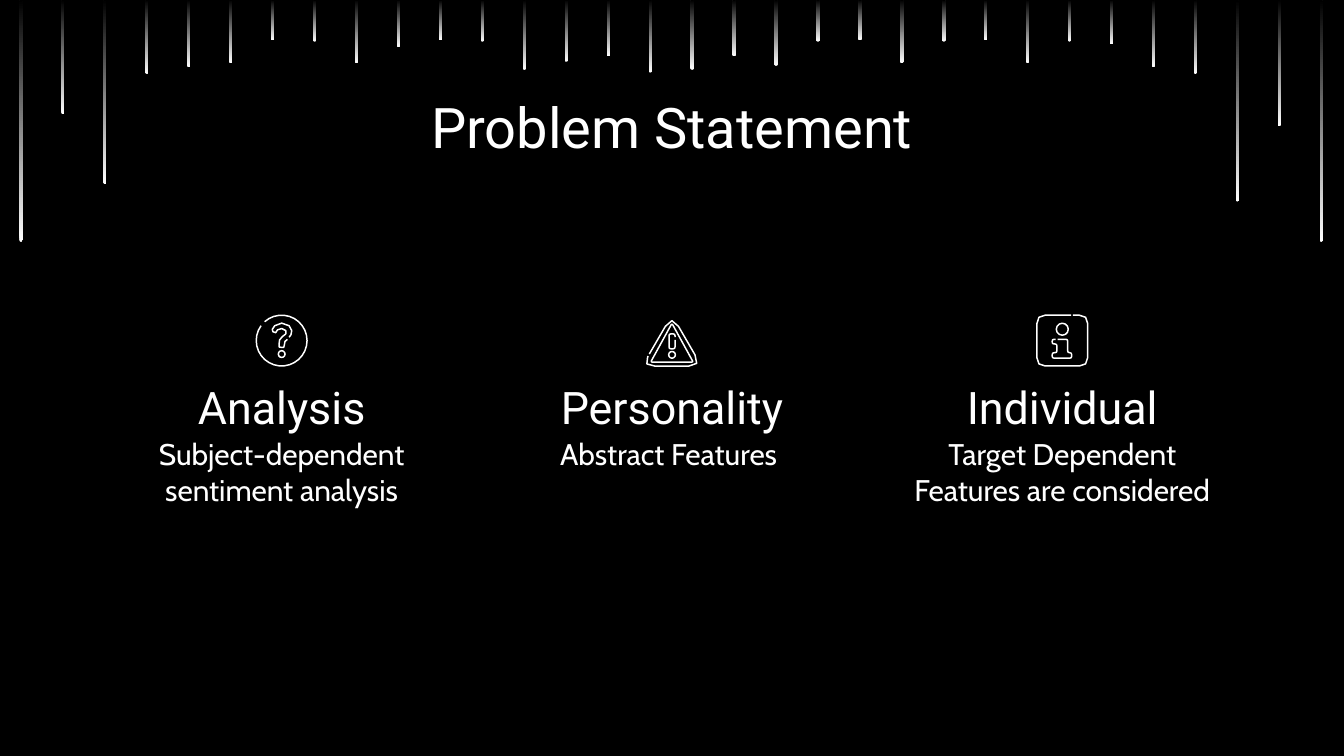
from math import cos, dist, radians, sin

from pptx import Presentation
from pptx.dml.color import RGBColor
from pptx.enum.shapes import MSO_SHAPE
from pptx.enum.text import MSO_ANCHOR, PP_ALIGN
from pptx.util import Pt

WHITE, BLACK = "FFFFFF", "000000"
HEAD, BODY = "Roboto", "Cabin"
WIDE, TALL = 720, 405

BARS = [129.6, 61.2, 98.6, 39.6, 36, 33.8, 21.6, 22.3,
        33.8, 25.2, 21.6, 22.3, 37.4, 33.1, 30.2, 38.9,
        37.4, 30.2, 35.3, 22.3, 21.6, 33.8, 22.3, 21.6,
        33.8, 22.3, 23.8, 36, 39.6, 108, 67.7, 129.6]

RING = [(13.6 * cos(radians(a)), 13.6 * sin(radians(a)))
        for a in range(228, 583, 12)]
HOOK = [(3.1, -0.7), (1.8, 0.4), (1.4, 2.5), (1.1, 3.6), (0, 3.6),
        (-1.4, 3.4), (-1.4, 1.8), (-1.1, -0.4), (0.4, -2.2),
        (2.2, -3.6), (2.2, -5.4), (0, -6.5), (-2.2, -5.8),
        (-3.2, -4.3), (-4.7, -4.8), (-5, -6.1), (-3.7, -8),
        (0, -9.4), (4, -8), (5.4, -5.4), (5, -3.2), (4, -1.8)]
SIGN = [(-12.1, 7.2), (0, -13.7), (15.9, 13.7), (-15.9, 13.7), (-12.7, 8.3)]
INNER = [(0, 11.5), (-11.4, 11.5), (0, -9.2), (11.4, 11.5), (0, 11.5)]
STEM = [(1.6, -0.4), (1.6, 4.4), (-1.6, 4.4), (-1.6, -3.6), (1.6, -3.6),
        (1.6, -1.8)]
FRAME = [(5.7, -13.6), (13.6, -13.6), (13.6, 13.6), (-13.6, 13.6),
         (-13.6, -13.6), (4.7, -13.6)]
INFO = [(-2.5, -0.7), (2.9, -0.7), (2.9, 6.5), (5, 6.5), (5, 9.4),
        (-5.4, 9.4), (-5.4, 6.5), (-2.9, 6.5), (-2.9, 1.8), (-5.4, 1.8),
        (-5.4, -0.7), (-3.6, -0.7)]

ITEMS = [
    ("Analysis", "Subject-dependent sentiment analysis",
     [(RING, 0), (HOOK, 0)], (7.2, 1.8)),
    ("Personality", "Abstract Features ",
     [(SIGN, 7), (INNER, 0.8), (STEM, 1)], (7.6, 1.8)),
    ("Individual", "Target Dependent Features are considered",
     [(FRAME, 4.5), (INFO, 1)], (-6.1, 3.2)),
]


def paint(code):
    return RGBColor.from_string(code)


def toward(a, b, size):
    share = min(0.9, size / dist(a, b))
    return a[0] + (b[0] - a[0]) * share, a[1] + (b[1] - a[1]) * share


def soften(line, size):
    if not size:
        return line
    points = [line[0]]
    for last, mid, after in zip(line, line[1:], line[2:]):
        p, q = toward(mid, last, size), toward(mid, after, size)
        bend = tuple((a + 2 * b + c) / 4 for a, b, c in zip(p, mid, q))
        points += [p, bend, q]
    return points + [line[-1]]


class Deck:
    """Holds the style and the current slide."""

    def __init__(self):
        self.file = Presentation()
        self.file.slide_width, self.file.slide_height = Pt(WIDE), Pt(TALL)
        self.slide = self.file.slides.add_slide(self.file.slide_layouts[6])
        self.shapes = self.slide.shapes
        fill = self.slide.background.fill
        fill.solid()
        fill.fore_color.rgb = paint(BLACK)

    def bar(self, mid, tall, wide=1.8):
        bar = self.shapes.add_shape(MSO_SHAPE.ROUNDED_RECTANGLE,
                                    Pt(mid - wide / 2), 0, Pt(wide), Pt(tall))
        bar.adjustments[0] = 0.5
        bar.shadow.inherit = False
        bar.line.fill.background()
        bar.fill.gradient()
        bar.fill.gradient_angle = 90
        for stop, code, place in zip(bar.fill.gradient_stops, (WHITE, BLACK), (0, 1)):
            stop.color.rgb = paint(code)
            stop.position = place

    def text(self, words, box, size, font):
        frame = self.shapes.add_textbox(*map(Pt, box)).text_frame
        frame.word_wrap = True
        frame.vertical_anchor = MSO_ANCHOR.TOP
        frame.margin_left = frame.margin_right = Pt(7.2)
        frame.margin_top = frame.margin_bottom = Pt(7.2)
        frame.text = words
        line = frame.paragraphs[0]
        line.alignment = PP_ALIGN.CENTER
        style = line.runs[0].font
        style.size, style.name = Pt(size), font
        style.color.rgb = paint(WHITE)

    def stroke(self, shape):
        shape.shadow.inherit = False
        shape.fill.background()
        shape.line.color.rgb = paint(WHITE)
        shape.line.width = Pt(0.8)

    def trace(self, line, size, x, y):
        first, *rest = [(Pt(x + a), Pt(y + b)) for a, b in soften(line, size)]
        pen = self.shapes.build_freeform(*first)
        pen.add_line_segments(rest, close=False)
        self.stroke(pen.convert_to_shape())

    def dot(self, x, y, r):
        self.stroke(self.shapes.add_shape(MSO_SHAPE.OVAL, Pt(x - r), Pt(y - r),
                                          Pt(2 * r), Pt(2 * r)))

    def item(self, mid, label, note, lines, dot):
        wide, high = 189.4, 182.5
        left = mid - wide / 2
        self.text(label, (left, 196.2, wide, 38.9), 24, HEAD)
        self.text(note, (left, 226.1, wide, 62.6), 16, BODY)
        for line, size in lines:
            self.trace(line, size, mid, high)
        drop, r = dot
        self.dot(mid, high + drop, r)


def main():
    deck = Deck()
    for i, tall in enumerate(BARS):
        deck.bar(11.3 + 22.47 * i, tall)
    deck.text("Problem Statement", (56.2, 42.5, 607.6, 45.4), 30, HEAD)
    for i, item in enumerate(ITEMS):
        deck.item(WIDE / 2 + 209.1 * (i - 1), *item)
    deck.file.save("out.pptx")


if __name__ == "__main__":
    main()
